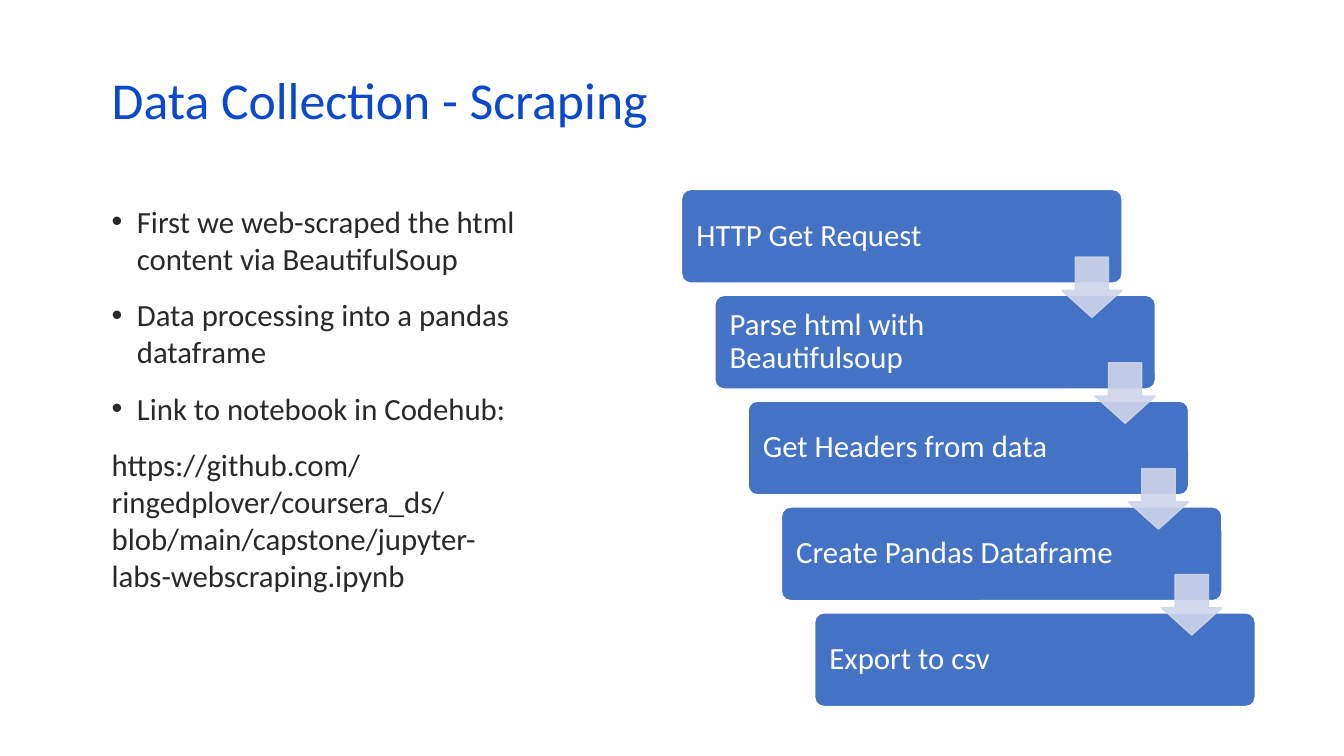
from lxml import etree
from pptx import Presentation
from pptx.dml.color import RGBColor
from pptx.enum import shapes, text
from pptx.oxml import ns
from pptx.util import Inches, Pt

FACE = "Calibri"
BLUE = "4472C4"
PALE = "CFD5EA"
WHITE = "FFFFFF"
POINTS = [
    "First we web-scraped the html content via BeautifulSoup",
    "Data processing into a pandas dataframe",
    "Link to notebook in Codehub:",
]
LINK = ("https://github.com/ringedplover/coursera_ds/blob/main/"
        "capstone/jupyter-labs-webscraping.ipynb")
STEPS = [
    "HTTP Get Request",
    "Parse html with Beautifulsoup",
    "Get Headers from data",
    "Create Pandas Dataframe",
    "Export to csv",
]


def color(code):
    return RGBColor.from_string(code)


def add_run(para, words, size, code):
    run = para.add_run()
    run.text = words
    run.font.name = FACE
    run.font.size = Pt(size)
    run.font.color.rgb = color(code)


def add_box(slide, left, top, width, height):
    box = slide.shapes.add_textbox(
        Inches(left), Inches(top), Inches(width), Inches(height))
    box.text_frame.word_wrap = True
    return box.text_frame


def add_bullet(para):
    props = para._p.get_or_add_pPr()
    props.set("marL", str(Inches(0.25)))
    props.set("indent", str(-Inches(0.25)))
    font = etree.SubElement(props, ns.qn("a:buFont"))
    font.set("typeface", "Arial")
    mark = etree.SubElement(props, ns.qn("a:buChar"))
    mark.set("char", "•")


def add_shape(slide, kind, left, top, width, height, fill, line):
    shape = slide.shapes.add_shape(
        kind, Inches(left), Inches(top), Inches(width), Inches(height))
    shape.shadow.inherit = False
    shape.fill.solid()
    shape.fill.fore_color.rgb = color(fill)
    shape.line.color.rgb = color(line)
    shape.line.width = Pt(1)
    return shape


def add_title(slide, words):
    frame = add_box(slide, 1.01, 0.76, 11.5, 0.6)
    frame.vertical_anchor = text.MSO_ANCHOR.MIDDLE
    para = frame.paragraphs[0]
    para.line_spacing = 0.7
    add_run(para, words, 37, "0B49CB")


def add_body(slide):
    frame = add_box(slide, 1.01, 1.96, 4.3, 4.17)
    for i, words in enumerate(POINTS + [LINK]):
        para = frame.add_paragraph() if i else frame.paragraphs[0]
        if i:
            para.space_before = Pt(14)
        if words != LINK:
            add_bullet(para)
        add_run(para, words, 22, "292929")


def add_step(slide, left, top, words):
    step = add_shape(slide, shapes.MSO_SHAPE.ROUNDED_RECTANGLE,
                     left, top, 4.37, 0.93, BLUE, WHITE)
    step.adjustments[0] = 0.1
    frame = step.text_frame
    frame.word_wrap = True
    frame.vertical_anchor = text.MSO_ANCHOR.MIDDLE
    frame.margin_left = frame.margin_top = frame.margin_bottom = Inches(0.12)
    frame.margin_right = Inches(1.04)
    para = frame.paragraphs[0]
    para.alignment = text.PP_ALIGN.LEFT
    para.line_spacing = 0.9
    add_run(para, words, 22, WHITE)


def add_arrow(slide, left, top):
    arrow = add_shape(slide, shapes.MSO_SHAPE.DOWN_ARROW,
                      left, top, 0.6, 0.6, PALE, PALE)
    arrow.adjustments[0] = 0.55
    arrow.adjustments[1] = 0.45
    for tone in arrow._element.spPr.iter(ns.qn("a:srgbClr")):
        etree.SubElement(tone, ns.qn("a:alpha")).set("val", "90000")


def add_flow(slide):
    spots = [(6.76 + 0.33 * i, 1.88 + 1.05 * i) for i in range(len(STEPS))]
    for (left, top), words in zip(spots, STEPS):
        add_step(slide, left, top, words)
    for left, top in spots[:-1]:
        add_arrow(slide, left + 3.77, top + 0.67)


def main():
    deck = Presentation()
    deck.slide_width = Inches(13.33)
    deck.slide_height = Inches(7.5)
    slide = deck.slides.add_slide(deck.slide_layouts[6])
    add_title(slide, "Data Collection - Scraping")
    add_body(slide)
    add_flow(slide)
    deck.save("out.pptx")


if __name__ == "__main__":
    main()
